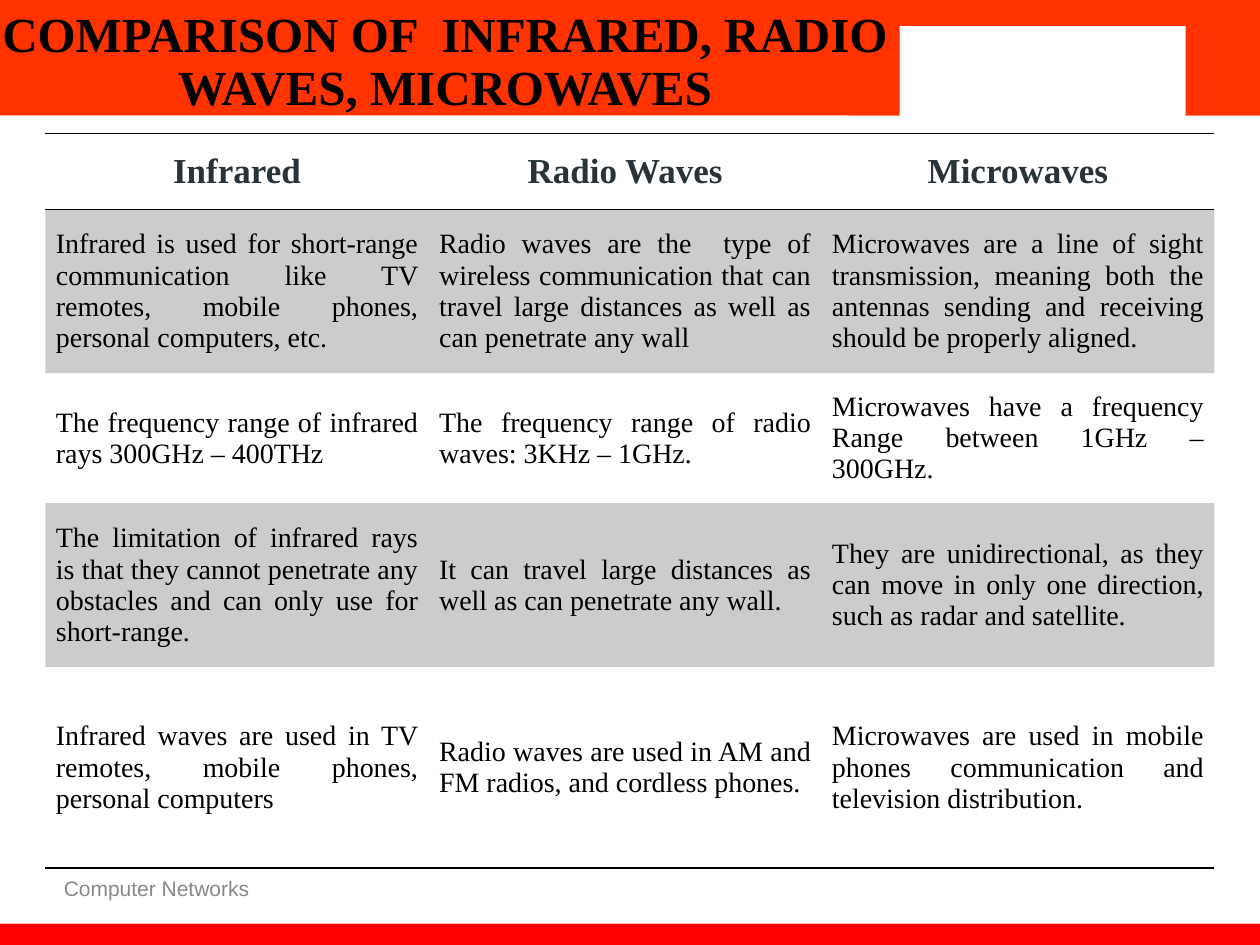
"""Build a slide comparing infrared, radio waves and microwaves in a table."""
from lxml import etree
from pptx import Presentation
from pptx.dml.color import RGBColor
from pptx.enum.shapes import MSO_SHAPE
from pptx.enum.text import MSO_ANCHOR, PP_ALIGN
from pptx.oxml.ns import qn
from pptx.util import Pt

RECTANGLE = MSO_SHAPE.RECTANGLE
TOP, MIDDLE = MSO_ANCHOR.TOP, MSO_ANCHOR.MIDDLE
LEFT, CENTER, JUSTIFY = PP_ALIGN.LEFT, PP_ALIGN.CENTER, PP_ALIGN.JUSTIFY

ORANGE = RGBColor(0xFF, 0x33, 0x00)
RED = RGBColor(0xFF, 0x00, 0x00)
WHITE = RGBColor(0xFF, 0xFF, 0xFF)
BLACK = RGBColor(0x00, 0x00, 0x00)
SLATE = RGBColor(0x27, 0x32, 0x39)
GRAY = RGBColor(0x88, 0x88, 0x88)

SERIF, SANS = "Times New Roman", "Arial"
PLAIN_STYLE = "{2D5ABB26-0587-4C30-8999-92F81FD0307C}"

BARS = [
    (0, 0, 720, 66, ORANGE),
    (0, 527.76, 720, 15.84, RED),
    (483.84, 0, 236.16, 66, ORANGE),
    (514.08, 15, 163.44, 54, WHITE),
]
COLUMN_WIDTHS = [219, 224.5, 224.5]
ROW_HEIGHTS = [43.4, 77, 46.8, 62, 115]
TABLE_HEIGHT = 236
ROWS = [
    ["Infrared", "Radio Waves", "Microwaves"],
    [
        "Infrared is used for short-range communication like TV remotes, "
        "mobile phones, personal computers, etc.",
        "Radio waves are the  type of wireless communication that can travel "
        "large distances as well as can penetrate any wall",
        "Microwaves are a line of sight transmission, meaning both the "
        "antennas sending and receiving should be properly aligned.",
    ],
    [
        "The frequency range of infrared rays 300GHz – 400THz",
        "The frequency range of radio waves: 3KHz – 1GHz.",
        "Microwaves have a frequency Range between 1GHz – 300GHz.",
    ],
    [
        "The limitation of infrared rays is that they cannot penetrate any "
        "obstacles and can only use for short-range.",
        "It can travel large distances as well as can penetrate any wall.",
        "They are unidirectional, as they can move in only one direction, "
        "such as radar and satellite.",
    ],
    [
        "Infrared waves are used in TV remotes, mobile phones, personal computers",
        "Radio waves are used in AM and FM radios, and cordless phones.",
        "Microwaves are used in mobile phones communication and television "
        "distribution.",
    ],
]


def write_text(frame, text, align, font, size, color, bold=False):
    frame.text = text
    frame.word_wrap = True
    para = frame.paragraphs[0]
    para.alignment = align
    span = para.runs[0]
    span.font.name = font
    span.font.size = Pt(size)
    span.font.bold = bold
    span.font.color.rgb = color
    return para


def add_border(cell, edge):
    line = etree.SubElement(cell._tc.get_or_add_tcPr(), qn(edge), w=str(Pt(1)))
    fill = etree.SubElement(line, qn("a:solidFill"))
    etree.SubElement(fill, qn("a:srgbClr"), val=str(BLACK))


deck = Presentation()
deck.slide_width, deck.slide_height = Pt(720), Pt(540)
page = deck.slides.add_slide(deck.slide_layouts[6])

for left, top, width, height, color in BARS:
    bar = page.shapes.add_shape(RECTANGLE, Pt(left), Pt(top), Pt(width), Pt(height))
    bar.shadow.inherit = False
    bar.fill.solid()
    bar.fill.fore_color.rgb = color
    bar.line.fill.background()

title = page.shapes.add_textbox(0, 0, Pt(508.32), Pt(72)).text_frame
footer = page.shapes.add_textbox(Pt(36.5), Pt(500.4), Pt(138), Pt(28.8)).text_frame
for frame, anchor in ((title, MIDDLE), (footer, TOP)):
    frame.margin_left = frame.margin_right = 0
    frame.margin_top = frame.margin_bottom = 0
    frame.vertical_anchor = anchor
heading = write_text(title, "COMPARISON OF  INFRARED, RADIO WAVES, MICROWAVES",
                     CENTER, SERIF, 28, BLACK, True)
heading.line_spacing = 0.9
write_text(footer, "Computer Networks", LEFT, SANS, 12, GRAY)

table_box = page.shapes.add_table(
    len(ROWS), len(COLUMN_WIDTHS), Pt(26), Pt(76.2),
    Pt(sum(COLUMN_WIDTHS)), Pt(TABLE_HEIGHT))
table = table_box.table
table.first_row = table.horz_banding = False
table._tbl.tblPr.find(qn("a:tableStyleId")).text = PLAIN_STYLE
for column, width in zip(table.columns, COLUMN_WIDTHS):
    column.width = Pt(width)

for r, (texts, height) in enumerate(zip(ROWS, ROW_HEIGHTS)):
    table.rows[r].height = Pt(height)
    header = r == 0
    for c, text in enumerate(texts):
        cell = table.cell(r, c)
        cell.vertical_anchor = MIDDLE
        cell.margin_left = cell.margin_right = Pt(6)
        cell.margin_top = cell.margin_bottom = Pt(6 if header else 8.4)
        if header:
            write_text(cell.text_frame, text, CENTER, SERIF, 20, SLATE, True)
            add_border(cell, "a:lnT")
        else:
            write_text(cell.text_frame, text, JUSTIFY, SERIF, 16, BLACK)
        if header or r == len(ROWS) - 1:
            add_border(cell, "a:lnB")
        if r % 2:
            cell.fill.solid()
            cell.fill.fore_color.rgb = BLACK
            shade = cell._tc.tcPr.find(".//" + qn("a:srgbClr"))
            etree.SubElement(shade, qn("a:alpha"), val="20000")
        else:
            cell.fill.background()
table_box.height = Pt(TABLE_HEIGHT)

deck.save("out.pptx")
